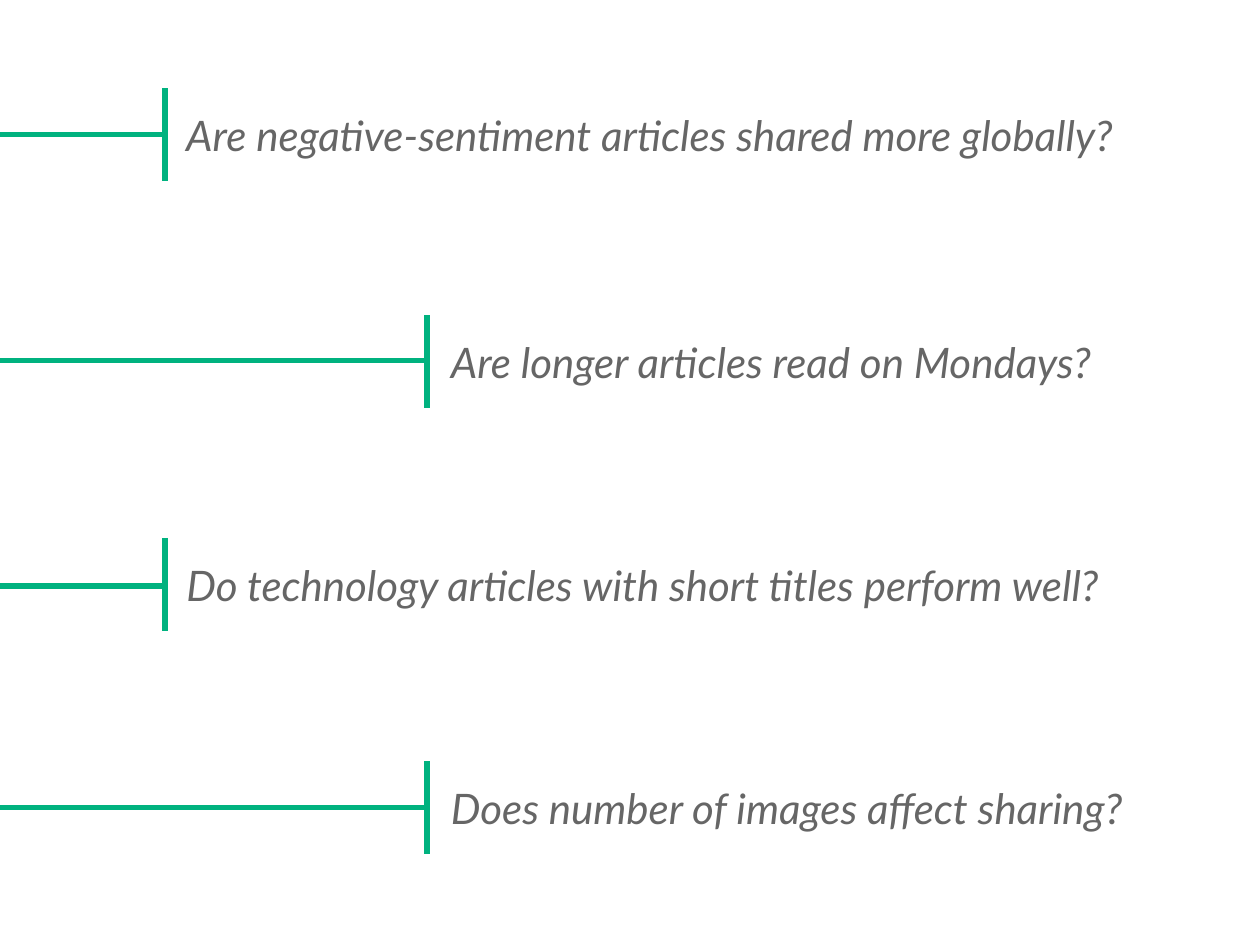
"""Build a slide of four questions, each led in by a green bracket line."""
from lxml.etree import SubElement
from pptx import Presentation
from pptx.dml.color import RGBColor
from pptx.enum.shapes import MSO_CONNECTOR
from pptx.enum.text import MSO_ANCHOR
from pptx.oxml.ns import qn
from pptx.util import Inches, Pt

COLORS = {"green": "00B27F", "gray": "666666"}
FONT = {"name": "Lato", "size": Pt(24), "italic": True}
FRAME = {"word_wrap": True, "vertical_anchor": MSO_ANCHOR.MIDDLE}
FRAME |= {f"margin_{side}": Inches(0.1) for side in ("left", "top", "right", "bottom")}
TALL = 0.74

ROWS = [
    ("Are negative-sentiment articles shared more globally?", 1.31, 1.38, 7.83, 0.7, 1.07),
    ("Are longer articles read on Mondays?", 3.39, 3.48, 5.93, 2.5, 2.86),
    ("Do technology articles with short titles perform well?", 1.31, 1.38, 7.95, 4.27, 4.65),
    ("Does number of images affect sharing?", 3.39, 3.48, 5.83, 6.04, 6.41),
]

deck = Presentation()
deck.slide_width, deck.slide_height = Inches(10), Inches(7.5)
slide = deck.slides.add_slide(deck.slide_layouts[6])


def add_line(*ends):
    line = slide.shapes.add_connector(MSO_CONNECTOR.STRAIGHT, *map(Inches, ends))
    line.line.color.rgb = RGBColor.from_string(COLORS["green"])
    line.line.width = Pt(3)
    SubElement(line._element.spPr, qn("a:effectLst"))


for text, bar, left, width, top, mid in ROWS:
    box = slide.shapes.add_textbox(*map(Inches, (left, top, width, TALL)))
    frame = box.text_frame
    for key, value in FRAME.items():
        setattr(frame, key, value)
    run = frame.paragraphs[0].add_run()
    run.text = text
    for key, value in FONT.items():
        setattr(run.font, key, value)
    run.font.color.rgb = RGBColor.from_string(COLORS["gray"])
    add_line(bar, top, bar, top + TALL)
    add_line(bar, mid, 0, mid)

deck.save("out.pptx")
